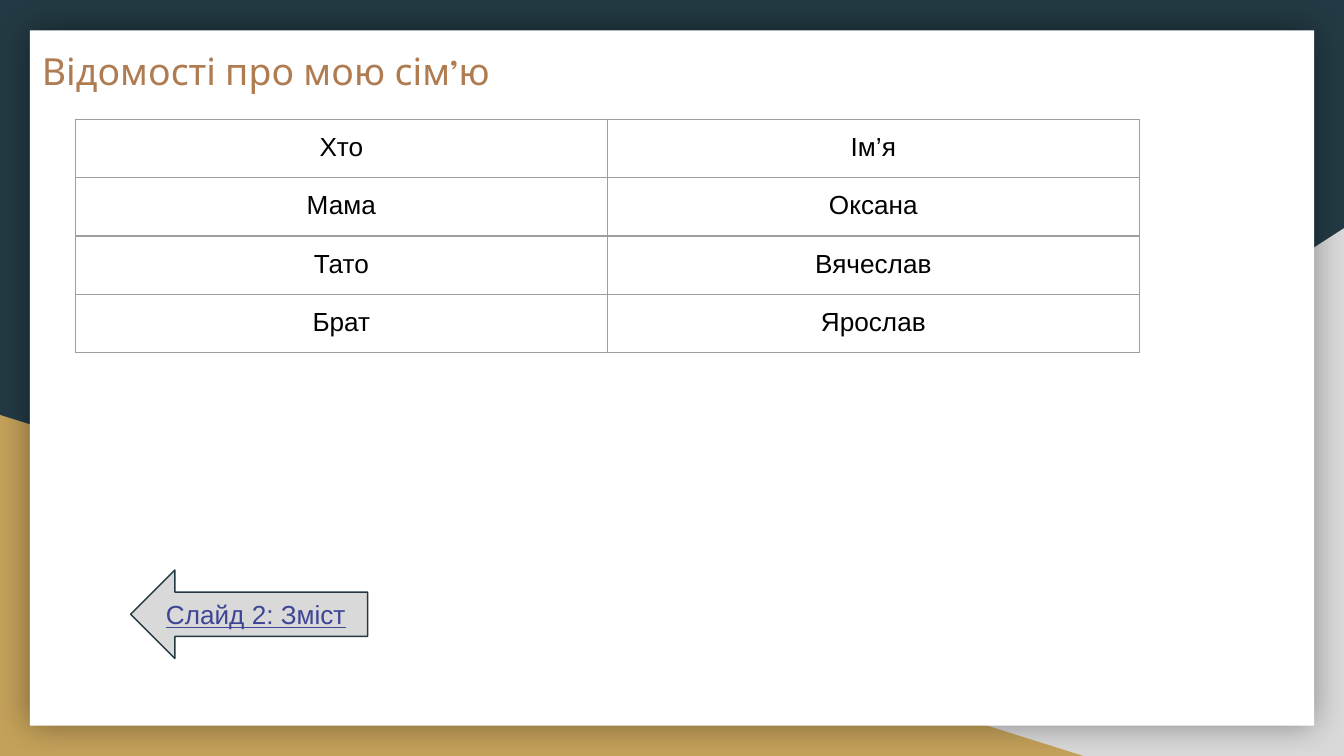
from lxml import etree
from pptx import Presentation
from pptx import util as u
from pptx.dml.color import RGBColor
from pptx.enum import shapes, text
from pptx.oxml import ns

Pt = u.Pt
COLORS = {
    "navy": "233A44", "gray": "D9D9D9", "gold": "C4A15A", "white": "FFFFFF",
    "brown": "AF7B51", "border": "9E9E9E", "black": "000000", "indigo": "3D4594",
}


def write_text(frame, content, size=14, font="Arial", color="black",
               align=text.PP_ALIGN.LEFT, underline=False):
    frame.word_wrap = True
    paragraph = frame.paragraphs[0]
    paragraph.alignment = align
    run = paragraph.add_run()
    run.text = content
    run.font.size = Pt(size)
    run.font.name = font
    run.font.bold = False
    run.font.underline = underline
    run.font.color.rgb = RGBColor.from_string(COLORS[color])


def add_filled_shape(slide, kind, left, top, width, height, color):
    shape = slide.shapes.add_shape(kind, Pt(left), Pt(top), Pt(width), Pt(height))
    shape.shadow.inherit = False
    shape.fill.solid()
    shape.fill.fore_color.rgb = RGBColor.from_string(COLORS[color])
    shape.line.fill.background()
    return shape


presentation = Presentation()
presentation.slide_width = Pt(720)
presentation.slide_height = Pt(405)
slide = presentation.slides.add_slide(presentation.slide_layouts[6])
slide.background.fill.solid()
slide.background.fill.fore_color.rgb = RGBColor.from_string(COLORS["navy"])

kinds = shapes.MSO_SHAPE
gray_corner = add_filled_shape(slide, kinds.RIGHT_TRIANGLE, 282, 122.3, 438, 282.7, "gray")
gray_corner.element.spPr.xfrm.set("flipH", "1")
add_filled_shape(slide, kinds.RIGHT_TRIANGLE, 0, 222.3, 580.4, 182.7, "gold")

panel = add_filled_shape(slide, kinds.RECTANGLE, 16, 16.3, 688, 372.5, "white")
effects = panel.element.spPr.find(ns.qn("a:effectLst"))
shadow = etree.SubElement(effects, ns.qn("a:outerShdw"), blurRad=str(Pt(18)),
                          dist="0", dir="0", algn="ctr", rotWithShape="0")
shadow_color = etree.SubElement(shadow, ns.qn("a:srgbClr"), val=COLORS["black"])
etree.SubElement(shadow_color, ns.qn("a:alpha"), val="40000")

title = slide.shapes.add_textbox(Pt(15.3), Pt(18.4), Pt(591), Pt(75))
title.text_frame.margin_left = title.text_frame.margin_right = Pt(7.2)
title.text_frame.margin_top = title.text_frame.margin_bottom = Pt(7.2)
write_text(title.text_frame, "Відомості про мою сім’ю", size=20,
           font="League Spartan", color="brown")

family = [("Хто", "Ім’я"), ("Мама", "Оксана"), ("Тато", "Вячеслав"), ("Брат", "Ярослав")]
table = slide.shapes.add_table(len(family), 2, Pt(40.4), Pt(64), Pt(570), Pt(120.8)).table
table.first_row = False
table.horz_banding = False
for row_index, names in enumerate(family):
    for column_index, name in enumerate(names):
        cell = table.cell(row_index, column_index)
        cell.margin_left = cell.margin_right = Pt(7.2)
        cell.margin_top = cell.margin_bottom = Pt(7.2)
        write_text(cell.text_frame, name, align=text.PP_ALIGN.CENTER)
        properties = cell._tc.get_or_add_tcPr()
        for side in ("lnL", "lnR", "lnT", "lnB"):
            border = etree.SubElement(properties, ns.qn(f"a:{side}"), w=str(Pt(0.75)))
            border_fill = etree.SubElement(border, ns.qn("a:solidFill"))
            etree.SubElement(border_fill, ns.qn("a:srgbClr"), val=COLORS["border"])
        cell.fill.background()

arrow = add_filled_shape(slide, kinds.LEFT_ARROW, 70, 305.4, 127, 47.4, "gray")
arrow.line.color.rgb = RGBColor.from_string(COLORS["navy"])
arrow.line.width = Pt(0.75)
arrow.text_frame.margin_left = arrow.text_frame.margin_right = Pt(7.2)
arrow.text_frame.margin_top = arrow.text_frame.margin_bottom = Pt(7.2)
arrow.text_frame.vertical_anchor = text.MSO_ANCHOR.MIDDLE
write_text(arrow.text_frame, "Слайд 2: Зміст", color="indigo", underline=True)

presentation.save("out.pptx")
